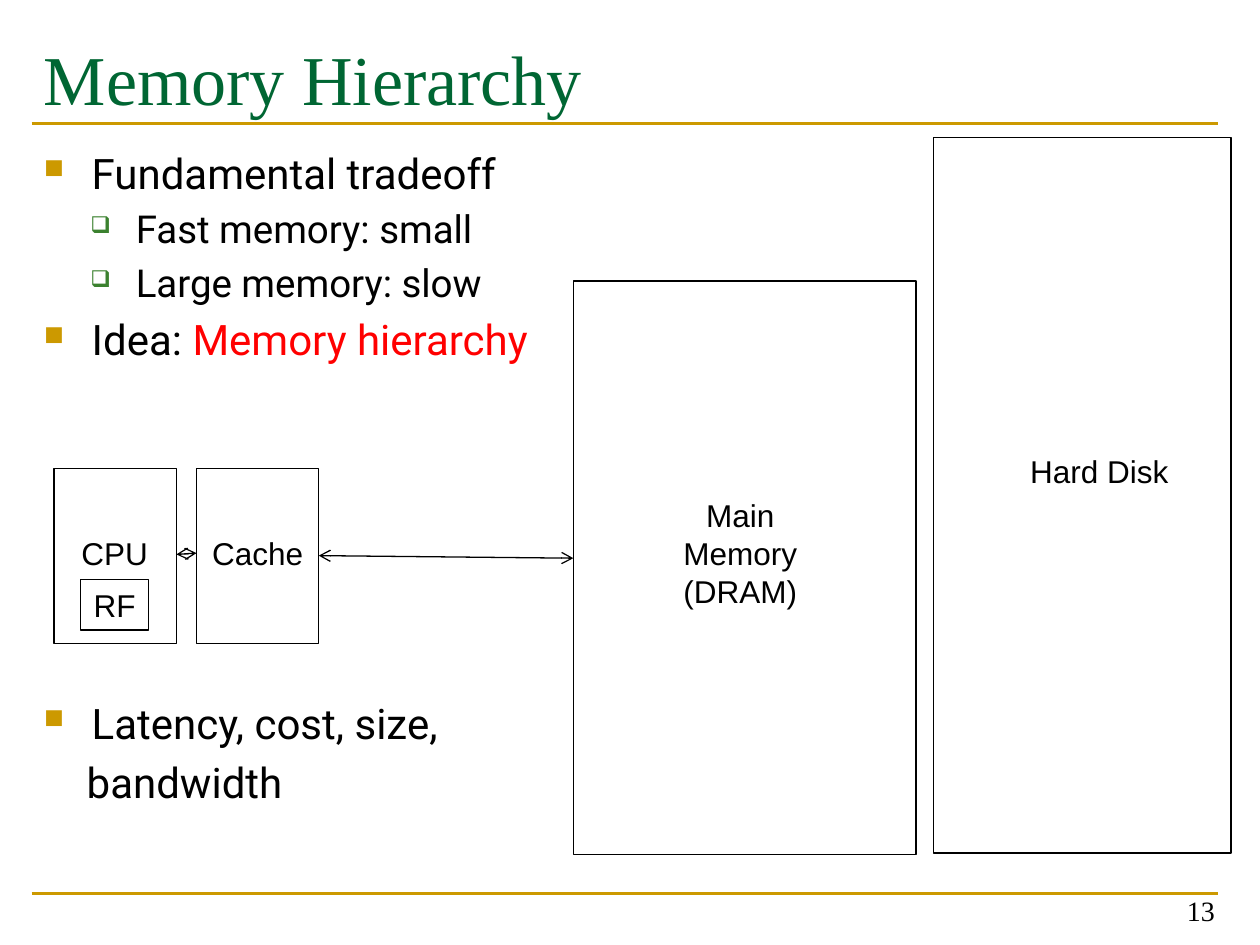
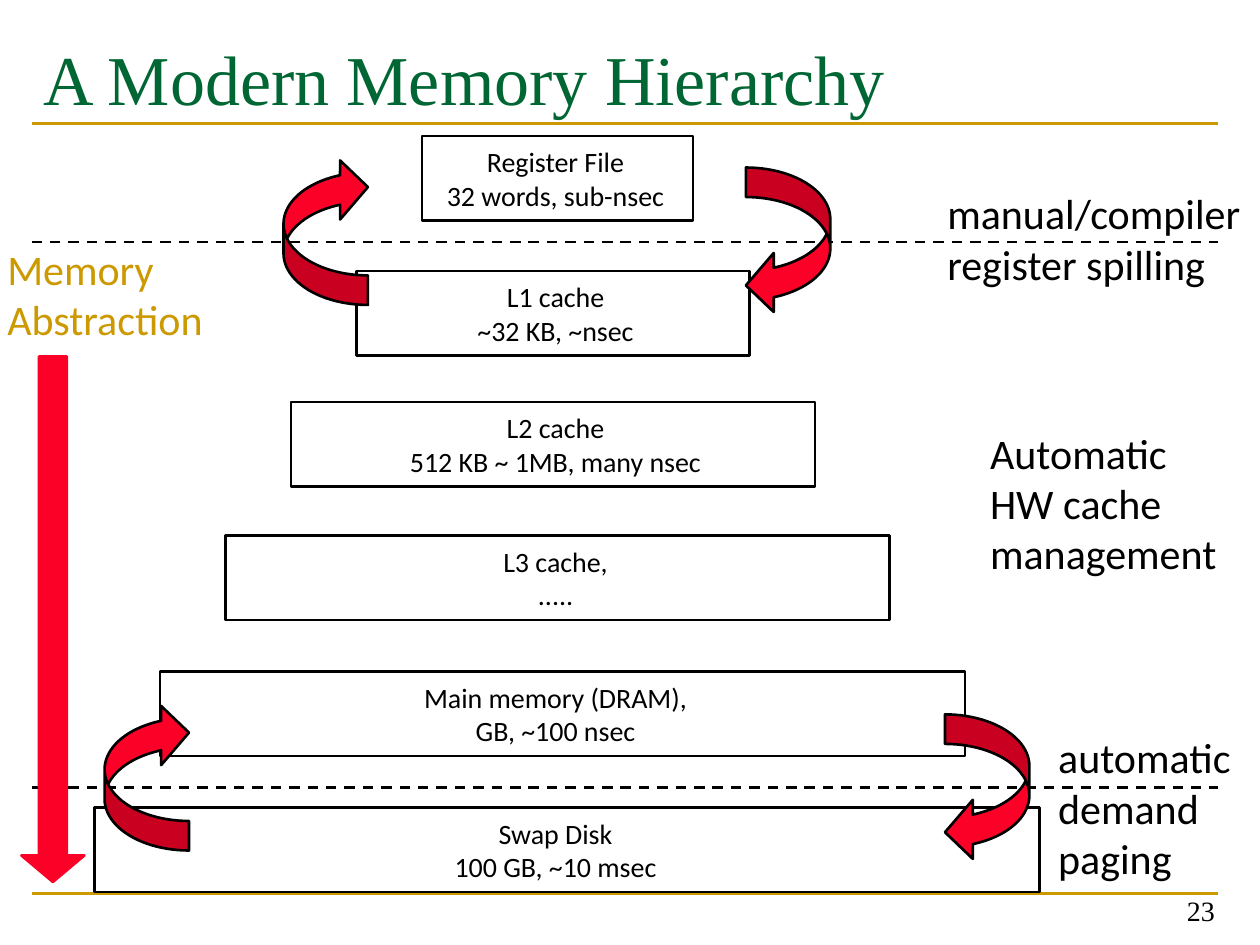
from dataclasses import dataclass

from lxml.etree import SubElement
from pptx import Presentation
from pptx.dml.color import RGBColor
from pptx.enum.dml import MSO_LINE
from pptx.enum.shapes import MSO_CONNECTOR, MSO_SHAPE
from pptx.enum.text import MSO_ANCHOR, PP_ALIGN
from pptx.oxml.ns import qn
from pptx.util import Inches, Pt

COLS, ROWS = 100, 75


@dataclass(frozen=True)
class Theme:
    ink: str = "000000"
    title: str = "006633"
    gold: str = "CC9900"
    green: str = "3B812F"
    accent: str = "FF0000"
    arrow: str = "FC0128"
    serif: str = "Times New Roman"
    sans: str = "Arial"
    body: str = "Roboto"
    diagram: str = "Calibri"
    title_size: int = 40
    note_size: int = 24
    bullet_sizes: tuple = (24, 22)
    label_size: int = 18
    small_size: int = 16
    thin: float = 0.75
    thick: float = 1.5


class Deck:
    def __init__(self, theme):
        self.t = theme
        self.prs = Presentation()
        self.prs.slide_width, self.prs.slide_height = Inches(10), Inches(7.5)
        self.s = None

    def x(self, cols):
        return int(self.prs.slide_width * cols / COLS)

    def y(self, rows):
        return int(self.prs.slide_height * rows / ROWS)

    def place(self, left, top, width, height):
        return self.x(left), self.y(top), self.x(width), self.y(height)

    def font(self, r, face, size, color):
        r.font.name, r.font.size = face, Pt(size)
        r.font.color.rgb = RGBColor.from_string(color)

    def fill_text(self, tf, lines, face, size, color, align):
        tf.text = "\n".join(lines)
        for p in tf.paragraphs:
            p.alignment = align
            for r in p.runs:
                self.font(r, face, size, color)

    def slide(self, title, number):
        t = self.t
        self.s = self.prs.slides.add_slide(self.prs.slide_layouts[6])
        for row in (70.9, 9.8):
            self.line((2.5, row), (96.7, row), t.gold, t.thick)
        tf = self.text((2.5, 1.7, 94.2, 11.7), [title], t.serif, t.title_size, t.title)
        tf.margin_top = self.y(1.15)
        tf = self.text((74.1, 69.1, 23.3, 5), [str(number)], t.serif, t.small_size,
                       align=PP_ALIGN.RIGHT)
        tf.vertical_anchor = MSO_ANCHOR.BOTTOM

    def text(self, at, lines, face, size, color=None, align=PP_ALIGN.LEFT):
        tf = self.s.shapes.add_textbox(*self.place(*at)).text_frame
        tf.word_wrap = at[2] > 50 or align == PP_ALIGN.RIGHT
        self.fill_text(tf, lines, face, size, color or self.t.ink, align)
        return tf

    def label(self, at, *lines):
        self.text(at, lines, self.t.sans, self.t.label_size, align=PP_ALIGN.CENTER)

    def note(self, at, *lines, color=None):
        self.text(at, lines, self.t.diagram, self.t.note_size, color)

    def bullets(self, at, items):
        t = self.t
        marks = (("■", t.gold, 65), ("❑", t.green, 60))
        tf = self.s.shapes.add_textbox(*self.place(*at)).text_frame
        tf.word_wrap = True
        for i, (level, indent, hanging, parts) in enumerate(items):
            p = tf.paragraphs[0] if i == 0 else tf.add_paragraph()
            pPr = p._p.get_or_add_pPr()
            pPr.set("marL", str(self.x(indent)))
            pPr.set("indent", str(-self.x(hanging)))
            if i:
                space = SubElement(pPr, qn("a:spcBef"))
                SubElement(space, qn("a:spcPct")).set("val", "20000")
            if hanging:
                char, color, percent = marks[level]
                fill = SubElement(pPr, qn("a:buClr"))
                SubElement(fill, qn("a:srgbClr")).set("val", color)
                SubElement(pPr, qn("a:buSzPct")).set("val", str(percent * 1000))
                SubElement(pPr, qn("a:buChar")).set("char", char)
            for words, color in parts:
                r = p.add_run()
                r.text = words
                self.font(r, t.body, t.bullet_sizes[level], color)

    def shape(self, kind, at, weight, fill=None, line=None, adjust=(), rotation=0):
        sh = self.s.shapes.add_shape(kind, *self.place(*at))
        sh.shadow.inherit = False
        sh.rotation = rotation
        for i, value in enumerate(adjust):
            sh.adjustments[i] = value
        if fill:
            sh.fill.solid()
            sh.fill.fore_color.rgb = RGBColor.from_string(fill)
        else:
            sh.fill.background()
        sh.line.color.rgb = RGBColor.from_string(line or self.t.ink)
        sh.line.width = Pt(weight)
        return sh

    def box(self, at, weight, lines=(), face=None, size=None, center=None):
        sh = self.shape(MSO_SHAPE.RECTANGLE, at, weight)
        if lines:
            tf = sh.text_frame
            tf.margin_left = tf.margin_right = tf.margin_top = tf.margin_bottom = 0
            if center is not None:
                tf.margin_left = self.x(1)
                tf.margin_right = self.x(1 + 2 * (at[0] + at[2] / 2 - center))
            tf.vertical_anchor = MSO_ANCHOR.MIDDLE
            self.fill_text(tf, lines, face, size, self.t.ink, PP_ALIGN.CENTER)

    def line(self, start, end, color, weight, dashed=False, arrows=False):
        c = self.s.shapes.add_connector(MSO_CONNECTOR.STRAIGHT, self.x(start[0]), self.y(start[1]),
                                        self.x(end[0]), self.y(end[1]))
        c.line.color.rgb = RGBColor.from_string(color)
        c.line.width = Pt(weight)
        if dashed:
            c.line.dash_style = MSO_LINE.DASH
        spPr = c._element.spPr
        if arrows:
            for tag in ("a:headEnd", "a:tailEnd"):
                SubElement(spPr.find(qn("a:ln")), qn(tag)).set("type", "arrow")
        SubElement(spPr, qn("a:effectLst"))

    def cycle(self, left, top, rotation=0):
        self.shape(MSO_SHAPE.CURVED_LEFT_ARROW, (left, top, 6.7, 11.7), self.t.thick,
                   self.t.arrow, adjust=(0.35, 0.7, 0.33), rotation=rotation)


def tradeoff_slide(d):
    t = d.t
    d.slide("Memory Hierarchy", 13)
    d.bullets((2.5, 11.2, 42, 20), [
        (0, 3.8, 3.8, [("Fundamental tradeoff", t.ink)]),
        (1, 7.3, 3.6, [("Fast memory: small", t.ink)]),
        (1, 7.3, 3.6, [("Large memory: slow", t.ink)]),
        (0, 3.8, 3.8, [("Idea: ", t.ink), ("Memory hierarchy", t.accent)]),
    ])
    d.bullets((2.5, 54.85, 42, 11), [
        (0, 3.8, 3.8, [("Latency, cost, size,", t.ink)]),
        (0, 3.4, 0, [("bandwidth", t.ink)]),
    ])
    cpu, cache = [(left, 37.2, 9.7, 13.9) for left in (4.3, 15.6)]
    for at in (cpu, cache, (45.5, 22.3, 27.2, 45.5), (74.1, 10.9, 23.6, 56.8)):
        d.box(at, t.thin)
    d.box((6.4, 46, 5.4, 4), t.thin, ["RF"], t.sans, t.label_size)
    d.label((5.4, 41.9, 7.4, 4), "CPU")
    d.label((15.6, 41.9, 9.7, 4), "Cache")
    d.label((53.2, 38.9, 11.1, 13.1), "Main", "Memory", "(DRAM)")
    d.label((80.7, 35.4, 13.1, 7.1), "Hard Disk")
    d.line((45.5, 44.3), (25.3, 44.1), t.ink, t.thin, arrows=True)
    d.line((15.6, 43.9), (14, 44), t.ink, t.thin, arrows=True)


def modern_slide(d):
    t = d.t
    d.slide("A Modern Memory Hierarchy", 23)
    levels = [
        (10.8, 21.5, "Register File", "32 words, sub-nsec"),
        (21.5, 31.2, "L1 cache", "~32 KB, ~nsec"),
        (31.9, 41.6, "L2 cache", "512 KB ~ 1MB, many nsec"),
        (42.5, 52.7, "L3 cache,", "....."),
        (53.3, 63.9, "Main memory (DRAM),", "GB, ~100 nsec"),
        (64.1, 75, "Swap Disk", "100 GB, ~10 msec"),
    ]
    for i, (top, width, *lines) in enumerate(levels):
        d.box((33.5 - 5.2 * i, top, width, 6.7), t.thick, lines, t.diagram, t.small_size,
              center=44.1)
    for row in (19.2, 62.5):
        d.line((2.5, row), (96.7, row), t.ink, t.thick, dashed=True)
    for left, top, rotation in ((59.2, 13.3, 0), (75, 56.7, 0), (22.5, 12.5, 180), (8.3, 55.8, 180)):
        d.cycle(left, top, rotation)
    d.note((74.2, 14.4, 25.6, 9.1), "manual/compiler", "register spilling")
    d.note((83, 57.6, 15.9, 13.1), "automatic", "demand", "paging")
    d.note((77.6, 33.4, 20.6, 13.1), "Automatic", "HW cache", "management")
    d.note((-0.4, 18.8, 17.7, 9.1), "Memory", "Abstraction", color=t.gold)
    d.shape(MSO_SHAPE.DOWN_ARROW, (1.7, 28.3, 5, 41.7), t.thick, t.arrow, t.arrow, (0.44, 0.42))


def main():
    d = Deck(Theme())
    tradeoff_slide(d)
    modern_slide(d)
    d.prs.save("out.pptx")


if __name__ == "__main__":
    main()
